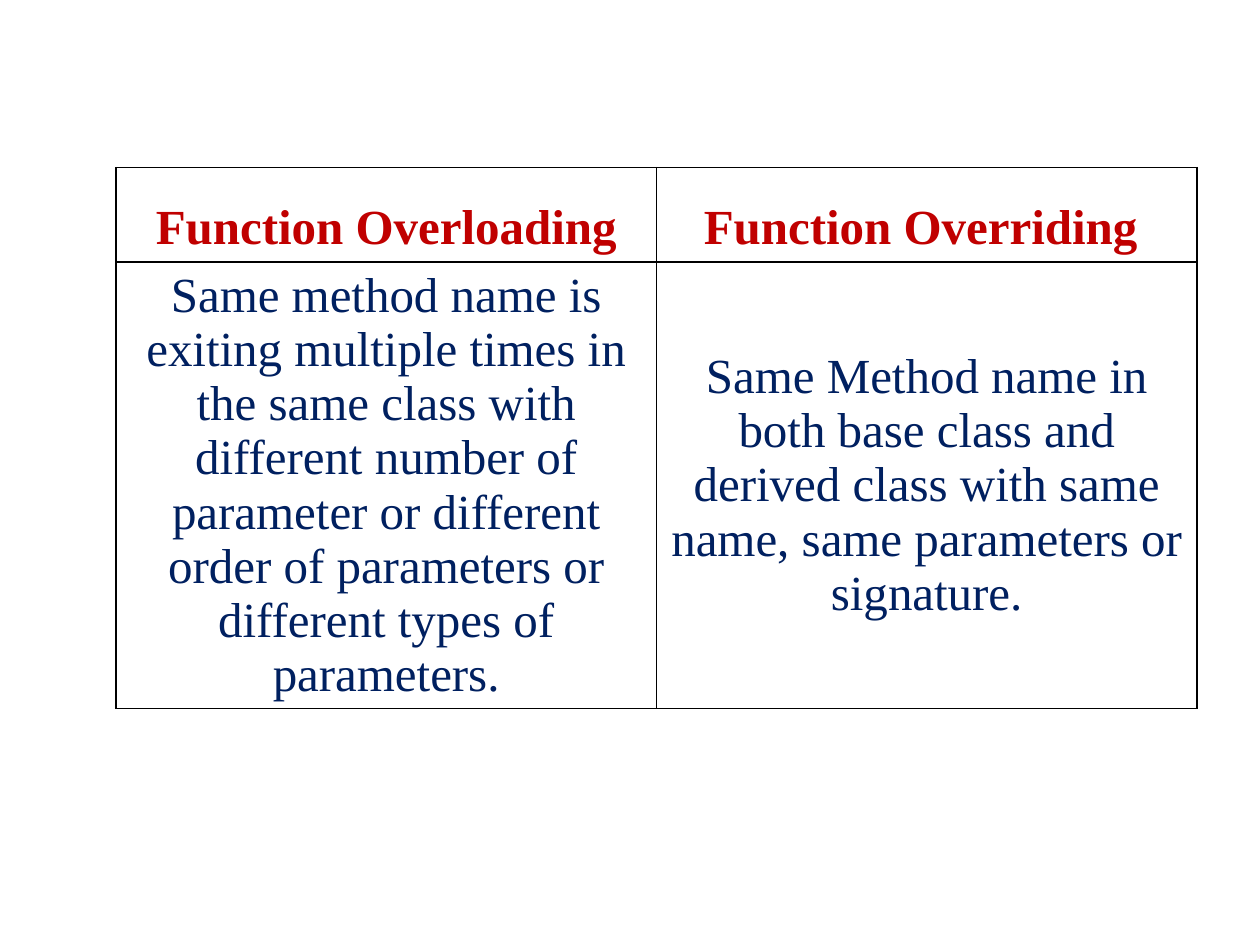
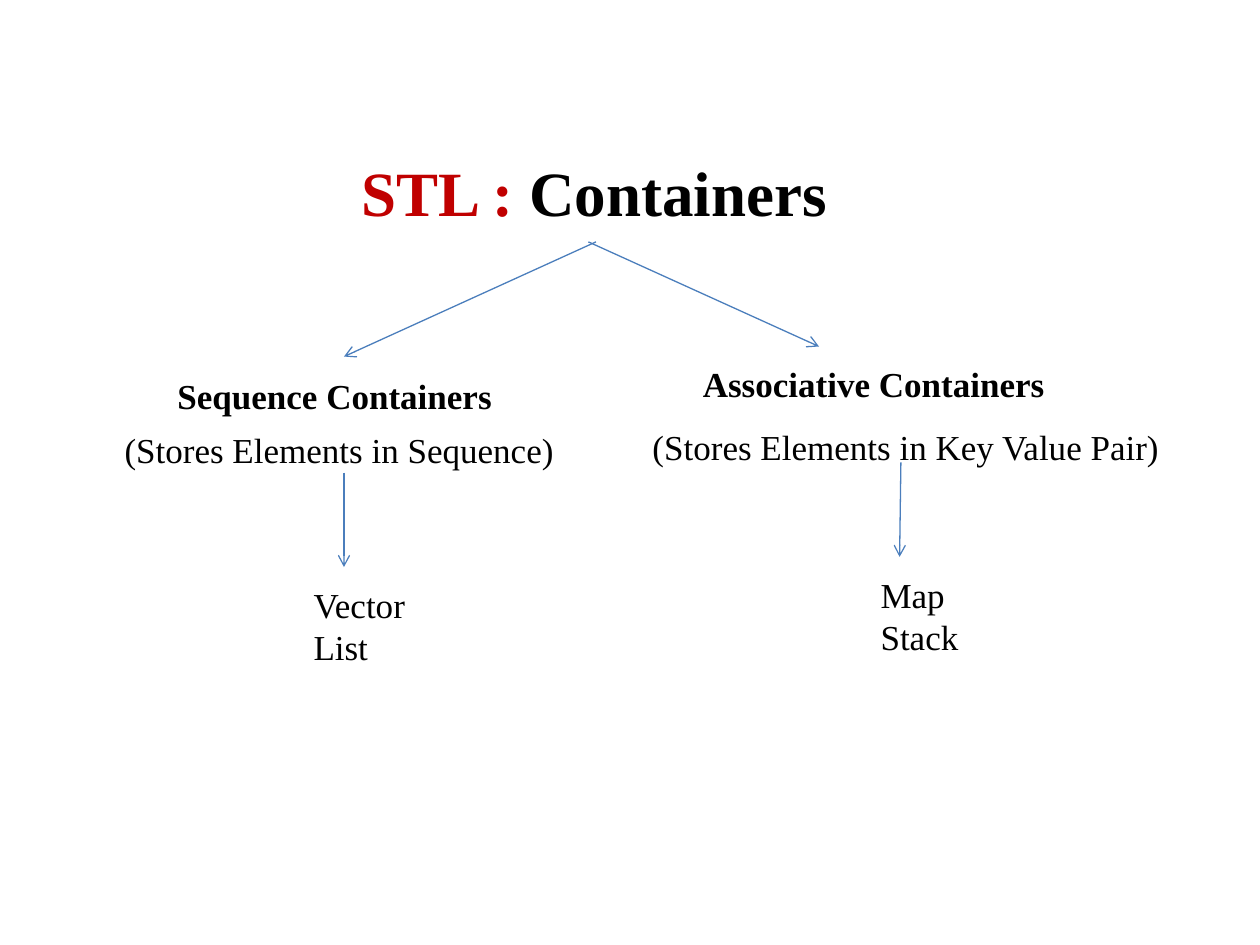
from lxml.etree import SubElement
from pptx import Presentation
from pptx.dml.color import RGBColor
from pptx.enum.shapes import MSO_CONNECTOR
from pptx.enum.text import MSO_ANCHOR, MSO_AUTO_SIZE, PP_ALIGN
from pptx.oxml.ns import qn
from pptx.util import Inches, Pt

FONT = "Times New Roman"
COLORS = {
    "accent": "C00000",
    "body": "002060",
    "text": "000000",
    "border": "000000",
    "arrow": "4B7EBC",
}


def rgb(name):
    return RGBColor.from_string(COLORS[name])


def style(font, size, color, bold=False):
    font.name = FONT
    font.size = Pt(size)
    font.bold = bold
    font.color.rgb = rgb(color)


def add_blank_slide(prs):
    return prs.slides.add_slide(prs.slide_layouts[6])


def add_borders(cell):
    tc_pr = cell._tc.get_or_add_tcPr()
    for i, side in enumerate(("a:lnL", "a:lnR", "a:lnT", "a:lnB")):
        ln = SubElement(tc_pr, qn(side), w=str(Pt(1)))
        fill = SubElement(ln, qn("a:solidFill"))
        SubElement(fill, qn("a:srgbClr"), val=COLORS["border"])
        # Borders must come before the fill in the cell properties
        tc_pr.insert(i, ln)


def fill_cell(cell, text, color, bold, line_spacing):
    cell.fill.background()
    cell.vertical_anchor = MSO_ANCHOR.MIDDLE
    add_borders(cell)
    p = cell.text_frame.paragraphs[0]
    p.text = text
    p.alignment = PP_ALIGN.CENTER
    p.line_spacing = line_spacing
    style(p.font, 28, color, bold)


def add_comparison_table(slide, headings, descriptions):
    frame = slide.shapes.add_table(2, len(headings), Inches(0.92), Inches(1.33),
                                   Inches(8.58), Inches(4.29))
    table = frame.table
    table.first_row = table.horz_banding = False
    table.rows[0].height = Inches(0.75)
    table.rows[1].height = Inches(3.54)
    for col, (heading, description) in enumerate(zip(headings, descriptions)):
        fill_cell(table.cell(0, col), heading, "accent", True, 1.5)
        fill_cell(table.cell(1, col), description, "body", False, 1.0)


def add_text_box(slide, left, top, width, height):
    tf = slide.shapes.add_textbox(Inches(left), Inches(top),
                                  Inches(width), Inches(height)).text_frame
    tf.word_wrap = False
    tf.auto_size = MSO_AUTO_SIZE.SHAPE_TO_FIT_TEXT
    return tf


def add_title(slide, lead, rest):
    p = add_text_box(slide, 2.75, 1.17, 3.93, 0.71).paragraphs[0]
    p.alignment = PP_ALIGN.CENTER
    for text, color in ((lead, "accent"), (rest, "text")):
        r = p.add_run()
        r.text = text
        style(r.font, 36, color, True)


def add_label(slide, lines, left, top, width, bold=False):
    height = 0.44 + 0.33 * (len(lines) - 1)
    tf = add_text_box(slide, left, top, width, height)
    for i, line in enumerate(lines):
        p = tf.add_paragraph() if i else tf.paragraphs[0]
        p.text = line
        style(p.font, 20, "text", bold)


def add_arrow(slide, x1, y1, x2, y2):
    line = slide.shapes.add_connector(MSO_CONNECTOR.STRAIGHT, Inches(x1), Inches(y1),
                                      Inches(x2), Inches(y2))
    line.line.color.rgb = rgb("arrow")
    line.line.width = Pt(0.75)
    SubElement(line.line._get_or_add_ln(), qn("a:tailEnd"), type="arrow")
    SubElement(line._element.spPr, qn("a:effectLst"))


def build_comparison(prs):
    add_comparison_table(
        add_blank_slide(prs),
        ["Function Overloading", "Function Overriding "],
        ["Same method name is exiting multiple times in the same class with "
         "different number of parameter or different order of parameters or "
         "different types of parameters.",
         "Same Method name in both base class and derived class with same name, "
         "same parameters or signature."],
    )


def build_containers(prs):
    slide = add_blank_slide(prs)
    add_title(slide, "STL : ", "Containers")

    add_arrow(slide, 4.73, 1.92, 2.73, 2.83)
    add_label(slide, ["Sequence Containers"], 1.31, 2.92, 2.79, bold=True)
    add_label(slide, ["(Stores Elements in Sequence)"], 0.89, 3.35, 3.63)
    add_arrow(slide, 2.73, 3.75, 2.73, 4.5)
    add_label(slide, ["Vector", "List"], 2.39, 4.58, 0.93)

    add_arrow(slide, 4.67, 1.92, 6.5, 2.75)
    add_label(slide, ["Associative Containers"], 5.48, 2.83, 3, bold=True)
    add_label(slide, ["(Stores Elements in Key Value Pair)"], 5.08, 3.33, 4.25)
    add_arrow(slide, 7.15, 3.67, 7.14, 4.42)
    add_label(slide, ["Map", "Stack"], 6.89, 4.5, 0.82)


def main():
    prs = Presentation()
    prs.slide_width = Inches(10)
    prs.slide_height = Inches(7.5)
    build_comparison(prs)
    build_containers(prs)
    prs.save("out.pptx")


if __name__ == "__main__":
    main()
